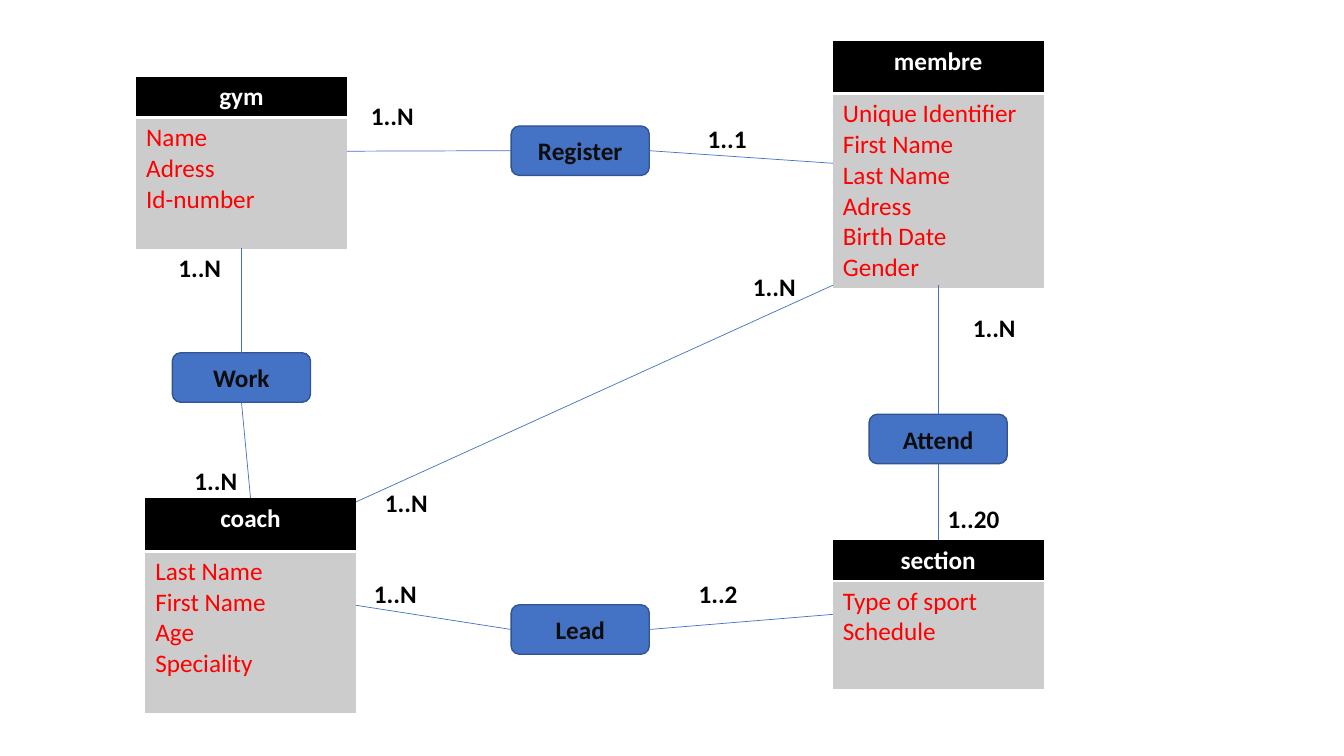
from lxml.etree import SubElement
from pptx import Presentation
from pptx.dml.color import RGBColor
from pptx.enum.shapes import MSO_CONNECTOR, MSO_SHAPE
from pptx.enum.text import MSO_ANCHOR, PP_ALIGN
from pptx.oxml import parse_xml
from pptx.oxml.ns import nsdecls, qn
from pptx.util import Inches, Pt

TOP, LEFT, BOTTOM, RIGHT = range(4)
FONT = {"name": "Calibri", "size": Pt(18)}
ENTITY_WIDTH = 2.09
RELATION_SIZE = (1.37, 0.49)
LABEL_SIZE = (0.77, 0.4)

# name: left, top, header height, body height, attributes
ENTITIES = {
    "gym": (1.35, 0.76, 0.4, 1.3, ["Name", "Adress", "Id-number"]),
    "section": (8.26, 5.36, 0.4, 1.07, ["Type of sport", "Schedule"]),
    "membre": (8.26, 0.41, 0.52, 1.9, ["Unique Identifier", "First Name", "Last Name",
                                       "Adress", "Birth Date", "Gender"]),
    "coach": (1.44, 4.94, 0.53, 1.6, ["Last Name", "First Name", "Age", "Speciality"]),
}
RELATIONS = {"Attend": (8.62, 4.11), "Work": (1.71, 3.5),
             "Register": (5.07, 1.25), "Lead": (5.07, 6)}
# each end is a part's side or a plain point
LINKS = [
    ((3.44, 1.5), ("Register", LEFT)),
    (("Register", RIGHT), ("membre", LEFT)),
    (("gym", BOTTOM), ("Work", TOP)),
    (("Work", BOTTOM), ("coach", TOP)),
    (("coach", RIGHT), ("Lead", LEFT)),
    (("Lead", RIGHT), ("section", LEFT)),
    (("section", TOP), ("Attend", BOTTOM)),
    (("Attend", TOP), ("membre", BOTTOM)),
    ((3.53, 4.98), (8.26, 2.83)),
]
LABELS = [
    ("1..N", 3.58, 0.95), ("1..1", 6.92, 1.17), ("1..N", 9.55, 3.05),
    ("1..20", 9.3, 4.94), ("1..N", 1.67, 2.45), ("1..N", 1.83, 4.57),
    ("1..N", 3.61, 5.69), ("1..2", 6.83, 5.69), ("1..N", 3.72, 4.79),
    ("1..N", 7.37, 2.64),
]


def color(value):
    return RGBColor.from_string(value)


def write(frame, lines, ink, bold=True, align=PP_ALIGN.LEFT):
    for index, line in enumerate(lines):
        para = frame.paragraphs[0] if index == 0 else frame.add_paragraph()
        para.alignment = align
        span = para.add_run()
        span.text = line
        for key, value in {**FONT, "bold": bold}.items():
            setattr(span.font, key, value)
        span.font.color.rgb = color(ink)


def set_borders(cell, white_side):
    paint = '<a:solidFill><a:srgbClr val="FFFFFF"/></a:solidFill>'
    for index, side in enumerate(("lnL", "lnR", "lnT", "lnB")):
        fill = paint if side == white_side else "<a:noFill/>"
        border = parse_xml(f'<a:{side} {nsdecls("a")} w="{Pt(2)}">{fill}</a:{side}>')
        cell._tc.get_or_add_tcPr().insert(index, border)


def add_entity(page, name, left, top, header, body, attributes):
    frame = page.shapes.add_table(2, 1, Inches(left), Inches(top),
                                  Inches(ENTITY_WIDTH), Inches(header + body))
    table = frame.table
    rows = [
        (header, "000000", "lnB", ([name], "FFFFFF", True, PP_ALIGN.CENTER)),
        (body, "CCCCCC", "lnT", (attributes, "FF0000", False)),
    ]
    for row, (height, fill, white_side, content) in zip(table.rows, rows):
        row.height = Inches(height)
        cell = row.cells[0]
        cell.fill.solid()
        cell.fill.fore_color.rgb = color(fill)
        set_borders(cell, white_side)
        write(cell.text_frame, *content)
    return frame


def add_relation(page, name, left, top):
    box = page.shapes.add_shape(MSO_SHAPE.ROUNDED_RECTANGLE, Inches(left), Inches(top),
                                *map(Inches, RELATION_SIZE))
    box.shadow.inherit = False
    box.fill.solid()
    box.fill.fore_color.rgb = color("4472C4")
    box.line.color.rgb = color("325491")
    box.line.width = Pt(1)
    box.text_frame.vertical_anchor = MSO_ANCHOR.MIDDLE
    write(box.text_frame, [name], "0D0D0D", align=PP_ALIGN.CENTER)
    return box


def add_link(page, parts, start, end):
    points = [(0, 0) if end_point[0] in parts else end_point for end_point in (start, end)]
    link = page.shapes.add_connector(MSO_CONNECTOR.STRAIGHT,
                                     *(Inches(value) for point in points for value in point))
    for connect, (part, side) in ((link.begin_connect, start), (link.end_connect, end)):
        if part in parts:
            connect(parts[part], side)
    link.line.color.rgb = color("4472C4")
    link.line.width = Pt(0.5)
    SubElement(link._element.spPr, qn("a:effectLst"))


def add_label(page, text, left, top):
    box = page.shapes.add_textbox(Inches(left), Inches(top), *map(Inches, LABEL_SIZE))
    box.text_frame.word_wrap = True
    write(box.text_frame, [text], "000000")


def build_diagram(page):
    # Entities and relations
    parts = {name: add_entity(page, name, *layout) for name, layout in ENTITIES.items()}
    for name, place in RELATIONS.items():
        parts[name] = add_relation(page, name, *place)
    # Links and cardinalities
    for start, end in LINKS:
        add_link(page, parts, start, end)
    for label in LABELS:
        add_label(page, *label)


def main():
    deck = Presentation()
    deck.slide_width, deck.slide_height = Inches(13.33), Inches(7.5)
    build_diagram(deck.slides.add_slide(deck.slide_layouts[6]))
    deck.save("out.pptx")


if __name__ == "__main__":
    main()
